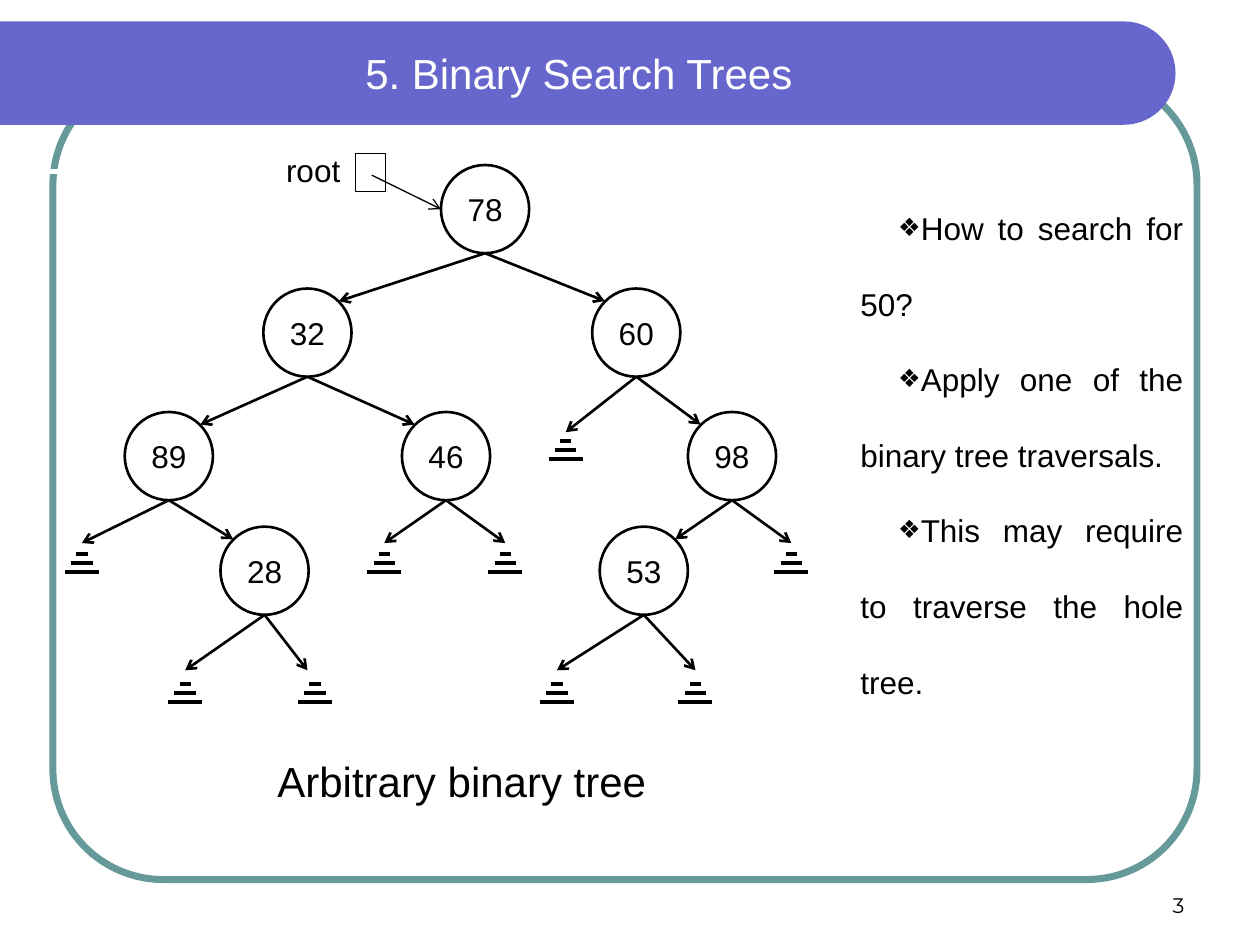
import math
import pptx
import pptx.dml.color
import pptx.enum.shapes
import pptx.enum.text
import pptx.oxml
import pptx.oxml.ns
import pptx.util

# Content: label -> (centre x, level, left child, right child)
TREE = {
    "78": (3.85, 0, "32", "60"),
    "32": (2.44, 1, "89", "46"),
    "60": (5.05, 1, 4.49, "98"),
    "89": (1.34, 2, 0.65, "28"),
    "46": (3.54, 2, 3.05, 4.01),
    "98": (5.81, 2, "53", 6.28),
    "28": (2.1, 3, 1.47, 2.44),
    "53": (5.11, 3, 4.42, 5.52),
}  # a number in place of a child is the x of an empty link
LEVEL_TOPS = [1.31, 2.29, 3.27, 4.18]
NODE = 0.7
EMPTY_ENDS = {1: (3.43, 3.5), 2: (4.31, 4.4), 3: (5.32, 5.43)}  # arrow tip, top bar
BAR_WIDTHS = [0.09, 0.17, 0.27]
BAR_GAP = 0.07
SHIFTED_BARS = {2.44: 2.5}  # bars that stand off their arrow tip
BULLETS = [
    "How to search for 50?",
    "Apply one of the binary tree traversals.",
    "This may require to traverse the hole tree.",
]
BLACK, WHITE, TEAL, VIOLET = "000000", "FFFFFF", "669999", "6666CC"
ALIGN = pptx.enum.text.PP_ALIGN
ANCHOR = pptx.enum.text.MSO_ANCHOR
SHAPE = pptx.enum.shapes.MSO_SHAPE
inch = pptx.util.Inches

prs = pptx.Presentation()
prs.slide_width, prs.slide_height = inch(10), inch(7.5)
s = prs.slides.add_slide(prs.slide_layouts[6])


def rgb(value):
    return pptx.dml.color.RGBColor.from_string(value)


def element(tag, **attributes):
    el = pptx.oxml.parse_xml(f"<a:{tag} {pptx.oxml.ns.nsdecls('a')}/>")
    for name, value in attributes.items():
        el.set(name, value)
    return el


def write(sp, lines, size=18, color=BLACK, font="Arial", align=ALIGN.CENTER,
          anchor=ANCHOR.TOP, inset=(0.1, 0.05)):
    tf = sp.text_frame
    across, down = map(inch, inset)
    frame = {"word_wrap": True, "vertical_anchor": anchor, "margin_left": across,
             "margin_right": across, "margin_top": down, "margin_bottom": down}
    for name, value in frame.items():
        setattr(tf, name, value)
    for i, line in enumerate(lines):
        p = tf.paragraphs[0] if i == 0 else tf.add_paragraph()
        p.alignment = align
        r = p.add_run()
        r.text = line
        for name, value in {"size": pptx.util.Pt(size), "name": font}.items():
            setattr(r.font, name, value)
        r.font.color.rgb = rgb(color)
    return tf


def text(box, lines, **style):
    return write(s.shapes.add_textbox(*map(inch, box)), lines, **style)


def outline(kind, box, color=BLACK, width=1.5):
    sp = s.shapes.add_shape(kind, *map(inch, box))
    sp.shadow.inherit = False
    sp.fill.background()
    sp.line.color.rgb = rgb(color)
    sp.line.width = pptx.util.Pt(width)
    return sp


def line(start, end, color=BLACK, width=1.5, arrow=False):
    straight = pptx.enum.shapes.MSO_CONNECTOR.STRAIGHT
    c = s.shapes.add_connector(straight, *map(inch, (*start, *end)))
    c.line.color.rgb = rgb(color)
    c.line.width = pptx.util.Pt(width)
    if arrow:
        c.line._get_or_add_ln().append(element("tailEnd", type="arrow"))
    c._element.spPr.append(element("effectLst"))


# Frame, title band with a round right end, and white rule
outline(SHAPE.ROUNDED_RECTANGLE, (0.42, 0.59, 9.08, 6.39), TEAL, 4).adjustments[0] = 0.137
radius, cx, cy = 0.41, 8.92, 0.58
arc = [(cx + radius * math.cos(math.radians(a)), cy + radius * math.sin(math.radians(a)))
       for a in range(-90, 91, 5)]
builder = s.shapes.build_freeform(0, inch(cy - radius), scale=1.0)
builder.add_line_segments([(inch(x), inch(y)) for x, y in arc + [(0, cy + radius)]])
band = builder.convert_to_shape()
band.shadow.inherit = False
band.fill.solid()
band.fill.fore_color.rgb = rgb(VIOLET)
band.line.fill.background()
line((0, 1.36), (8.83, 1.36), WHITE, 3)

# Title and slide number
text((0.21, 0.25, 8.77, 0.66), ["5. Binary Search Trees"], size=24, color=WHITE,
     anchor=ANCHOR.MIDDLE, inset=(0, 0))
text((7.17, 6.83, 2.33, 0.5), ["3"], size=12, font="Montserrat", align=ALIGN.RIGHT,
     anchor=ANCHOR.BOTTOM)

# Tree nodes
for label, (x, level, *_) in TREE.items():
    node = outline(SHAPE.OVAL, (x - NODE / 2, LEVEL_TOPS[level], NODE, NODE))
    write(node, [label], anchor=ANCHOR.MIDDLE)

# Arrows to children, and stacked bars for empty links
for x, level, *children in TREE.values():
    start = (x, LEVEL_TOPS[level] + NODE)
    for child, side in zip(children, (1, -1)):
        if child in TREE:
            child_x, child_level = TREE[child][:2]
            end = (child_x + side * 0.25, LEVEL_TOPS[child_level] + 0.1)
        else:
            tip, bar_top = EMPTY_ENDS[level]
            end = (child, tip)
            middle = SHIFTED_BARS.get(child, child)
            for i, width in enumerate(BAR_WIDTHS):
                y = bar_top + i * BAR_GAP
                line((middle - width / 2, y), (middle + width / 2, y), width=2.25)
        line(start, end, arrow=True)

# Caption and search notes
text((1.93, 5.95, 3.47, 0.5), ["Arbitrary binary tree"], size=24)
notes = text((6.5, 1.31, 2.99, 3.7), BULLETS, align=ALIGN.JUSTIFY)
for p in notes.paragraphs:
    p.line_spacing = 2.0
    pPr = p._p.get_or_add_pPr()
    pPr.set("marL", str(inch(0.23)))
    pPr.set("indent", str(inch(0.3)))
    color = element("buClr")
    color.append(element("srgbClr", val=BLACK))
    pPr.extend([color, element("buSzPct", val="80000"),
                element("buFont", typeface="Arial"), element("buChar", char="❖")])

# Root pointer
text((2.09, 1.15, 0.79, 0.4), ["root"])
outline(SHAPE.RECTANGLE, (2.82, 1.22, 0.24, 0.3), width=0.75)
line((2.95, 1.39), (3.5, 1.66), width=0.75, arrow=True)

prs.save("out.pptx")
